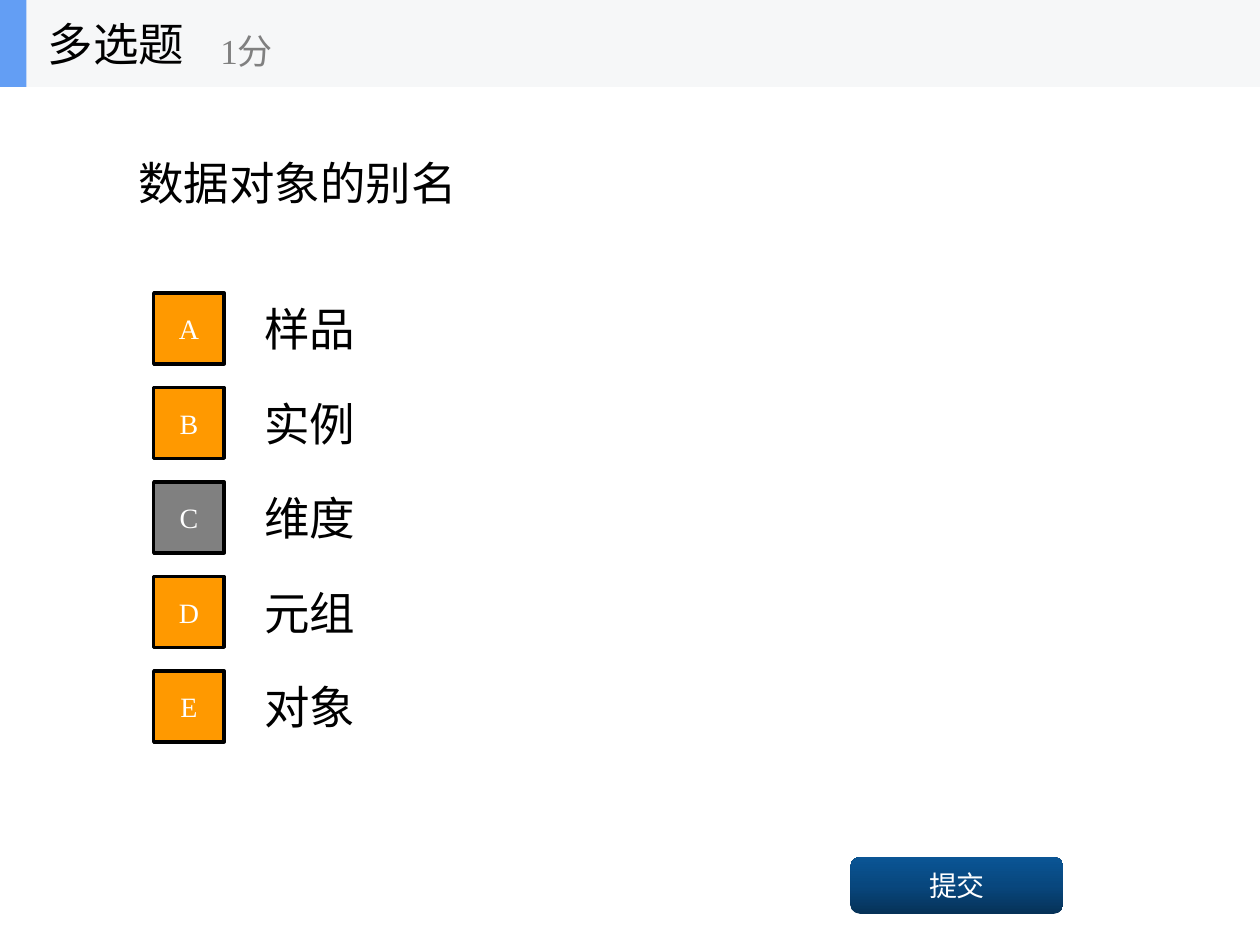
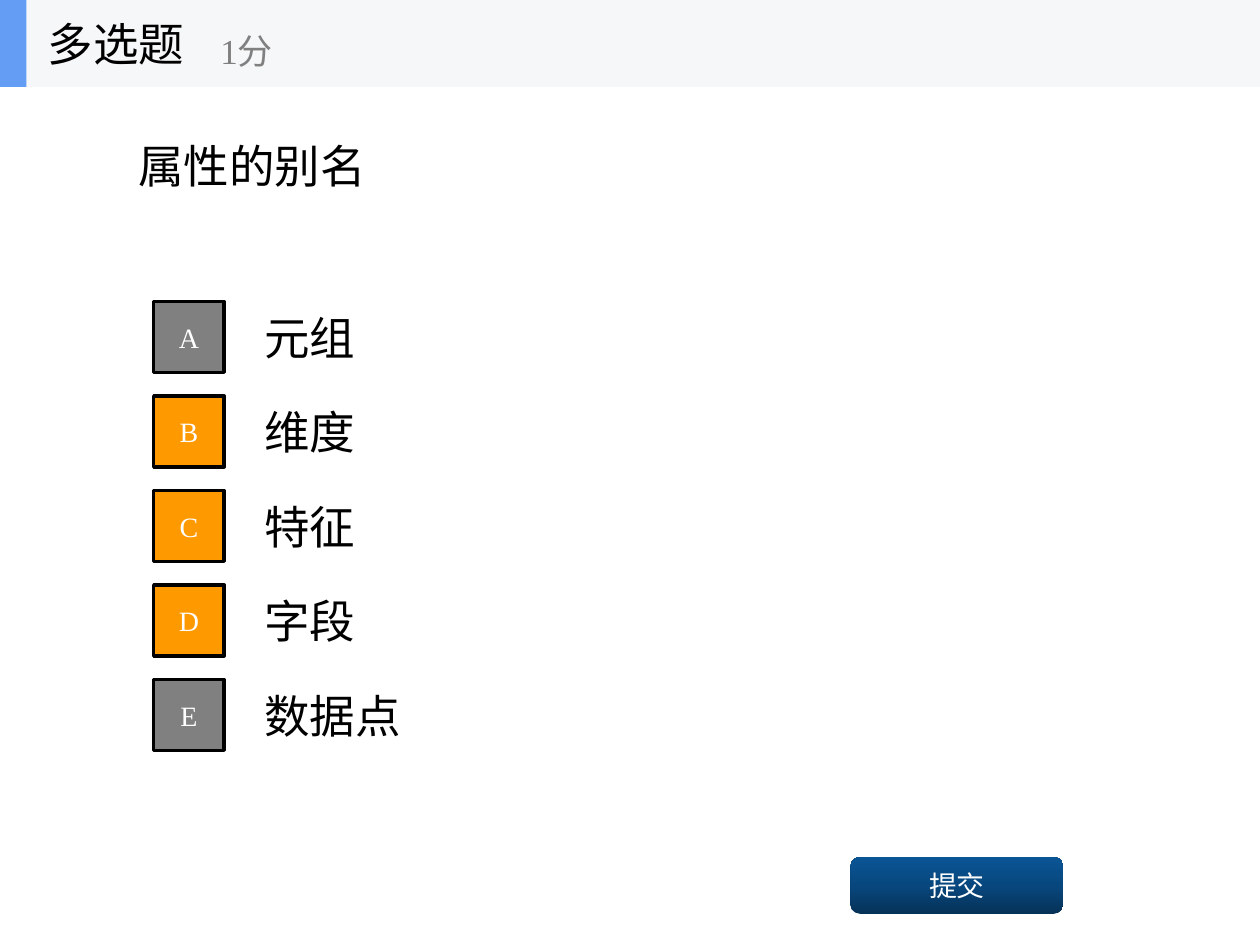
"""Build two multiple-choice quiz slides on a ten by ten grid."""
import copy
from dataclasses import dataclass

import pptx
import pptx.dml.color
import pptx.enum.shapes
import pptx.enum.text
import pptx.oxml.ns
import pptx.util

SHAPE = pptx.enum.shapes.MSO_SHAPE
ALIGN = pptx.enum.text.PP_ALIGN
ANCHOR = pptx.enum.text.MSO_ANCHOR


@dataclass(frozen=True)
class Theme:
    """Colours, font and type sizes of the deck."""
    font: str = "Times New Roman"
    ink: str = "000000"
    paper: str = "FFFFFF"
    band: str = "F6F7F8"
    accent: str = "639EF4"
    muted: str = "808080"
    chosen: str = "FF9900"
    button: tuple[str, ...] = ("063258", "08477E", "0A5595")
    body: int = 26
    score: int = 20
    label: int = 16
    outline: int = 2


@dataclass(frozen=True)
class Cell:
    """An area in columns and rows of the grid."""
    col: float
    row: float
    cols: float
    rows: float


@dataclass(frozen=True)
class Option:
    """An answer and whether it is correct."""
    text: str
    correct: bool


@dataclass(frozen=True)
class Question:
    """A question, its depth in rows, and its answers from a first row."""
    text: str
    rows: float
    first_row: float
    options: tuple[Option, ...]


THEME = Theme()
GRID = 10
WIDTH, HEIGHT = pptx.util.Inches(10), pptx.util.Inches(7.5)
BAND_ROWS = 0.92
OPTION_ROWS = 0.93
BADGE_COLS, BADGE_ROWS = 0.56, 0.75

QUESTIONS = (
    Question("数据对象的别名", 2.01, 3.01, (
        Option("样品", True), Option("实例", True), Option("维度", False),
        Option("元组", True), Option("对象", True))),
    Question("属性的别名", 1.65, 3.1, (
        Option("元组", False), Option("维度", True), Option("特征", True),
        Option("字段", True), Option("数据点", False))),
)


def rgb(value: str) -> pptx.dml.color.RGBColor:
    """Return a colour from its hex value."""
    return pptx.dml.color.RGBColor.from_string(value)


def place(cell: Cell) -> tuple[int, int, int, int]:
    """Return left, top, width and height of a grid cell."""
    return (round(cell.col * WIDTH / GRID), round(cell.row * HEIGHT / GRID),
            round(cell.cols * WIDTH / GRID), round(cell.rows * HEIGHT / GRID))


def write(sp, text: str, size: int, color: str, align=ALIGN.LEFT, wrap: bool = True) -> None:
    """Write one vertically centred line of text in a shape."""
    tf = sp.text_frame
    tf.word_wrap = wrap
    tf.vertical_anchor = ANCHOR.MIDDLE
    p = tf.paragraphs[0]
    p.alignment = align
    r = p.add_run()
    r.text = text
    r.font.name = THEME.font
    r.font.size = pptx.util.Pt(size)
    r.font.color.rgb = rgb(color)


def add_text(s, cell: Cell, text: str, size: int = THEME.body,
             color: str = THEME.ink, wrap: bool = True) -> None:
    """Add a text box."""
    write(s.shapes.add_textbox(*place(cell)), text, size, color, wrap=wrap)


def add_block(s, cell: Cell, fill: str, kind=SHAPE.RECTANGLE):
    """Add a flat shape without a line."""
    sp = s.shapes.add_shape(kind, *place(cell))
    sp.shadow.inherit = False
    sp.fill.solid()
    sp.fill.fore_color.rgb = rgb(fill)
    sp.line.fill.background()
    return sp


def add_header(s) -> None:
    """Add the top band with the question type and score."""
    add_block(s, Cell(0, 0, GRID, BAND_ROWS), THEME.band)
    add_block(s, Cell(0, 0, 0.21, BAND_ROWS), THEME.accent)
    add_text(s, Cell(0.28, 0, 2.08, BAND_ROWS), "多选题", wrap=False)
    add_text(s, Cell(1.65, 0.16, 2.5, 0.75), "1分", THEME.score, THEME.muted, wrap=False)


def add_option(s, row: float, letter: str, option: Option) -> None:
    """Add an answer with its lettered badge centred beside it."""
    add_text(s, Cell(2, row, 7, OPTION_ROWS), option.text)
    badge = Cell(1.22, row + (OPTION_ROWS - BADGE_ROWS) / 2, BADGE_COLS, BADGE_ROWS)
    sp = add_block(s, badge, THEME.chosen if option.correct else THEME.muted)
    sp.line.color.rgb = rgb(THEME.ink)
    sp.line.width = pptx.util.Pt(THEME.outline)
    write(sp, letter, THEME.label, THEME.paper, ALIGN.CENTER)


def add_submit(s) -> None:
    """Add the submit button with its upward gradient."""
    sp = add_block(s, Cell(6.75, 9.07, 1.69, 0.6), THEME.button[0], SHAPE.ROUNDED_RECTANGLE)
    sp.fill.gradient()
    sp.fill.gradient_angle = 90
    stops = next(sp.element.iter(pptx.oxml.ns.qn("a:gsLst")))
    stops.insert(1, copy.deepcopy(stops[0]))
    for i, (stop, color) in enumerate(zip(sp.fill.gradient_stops, THEME.button)):
        stop.position = i / (len(THEME.button) - 1)
        stop.color.rgb = rgb(color)
    write(sp, "提交", THEME.label, THEME.paper, ALIGN.CENTER)


def add_question(prs, question: Question) -> None:
    """Add the slide of one question."""
    s = prs.slides.add_slide(prs.slide_layouts[6])
    s.background.fill.solid()
    s.background.fill.fore_color.rgb = rgb(THEME.paper)
    add_text(s, Cell(1, BAND_ROWS, 8, question.rows), question.text)
    for i, (letter, option) in enumerate(zip("ABCDE", question.options)):
        add_option(s, question.first_row + i, letter, option)
    add_submit(s)
    add_header(s)


def main() -> None:
    """Build and save the deck."""
    prs = pptx.Presentation()
    prs.slide_width, prs.slide_height = WIDTH, HEIGHT
    for question in QUESTIONS:
        add_question(prs, question)
    prs.save("out.pptx")


if __name__ == "__main__":
    main()
